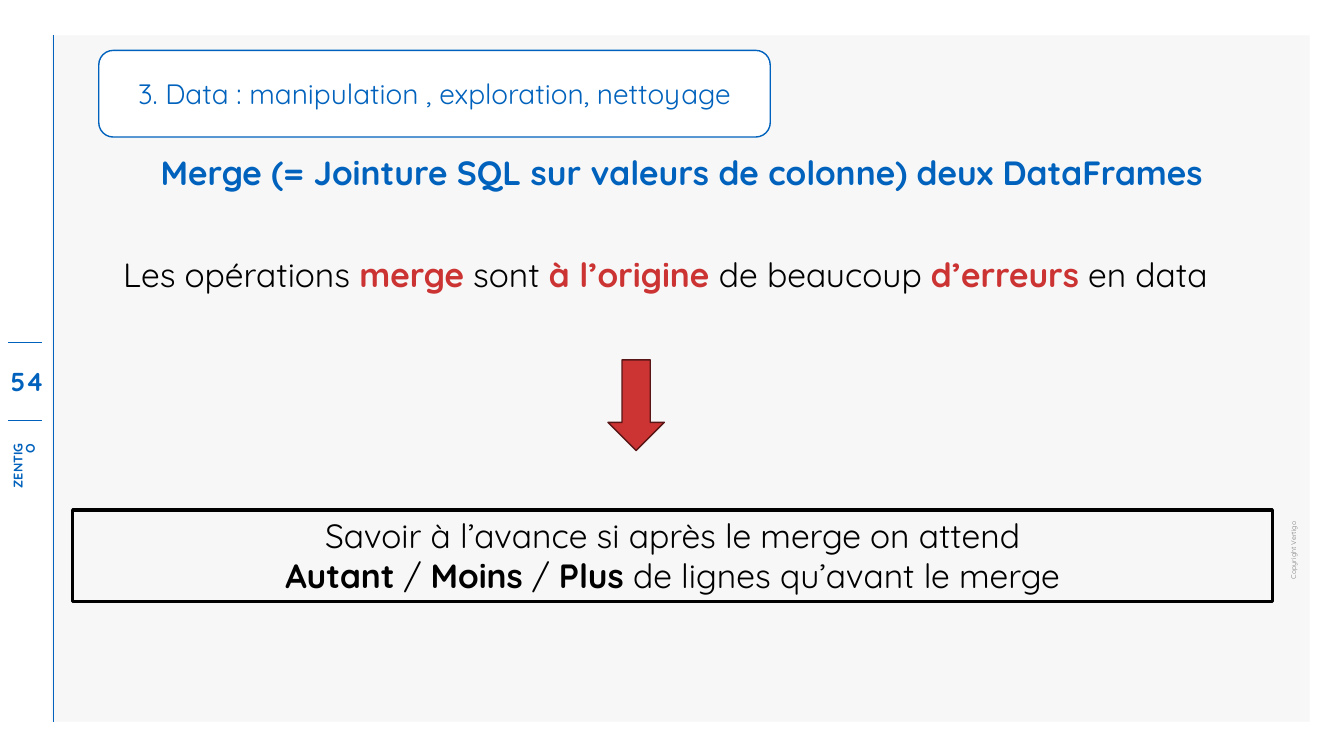
"""Build the slide on merging two DataFrames."""
import pptx
import pptx.util
import pptx.dml.color
import pptx.enum.shapes
import pptx.enum.text
import lxml.etree
from dataclasses import dataclass

Inches, Pt = pptx.util.Inches, pptx.util.Pt
SHAPE = pptx.enum.shapes.MSO_SHAPE
ALIGN = pptx.enum.text.PP_ALIGN
ANCHOR = pptx.enum.text.MSO_ANCHOR


@dataclass(frozen=True)
class Theme:
    font: str = "Quicksand"
    blue: str = "0062BC"
    red: str = "CC3333"
    dark_red: str = "591616"
    black: str = "000000"
    white: str = "FFFFFF"
    grey: str = "7B7B7B"
    panel: str = "F7F7F7"
    message: float = 24
    chapter: float = 20
    number: float = 18.5
    brand: float = 9
    copyright: float = 5


THEME = Theme()
PLAIN = {"size": THEME.message, "color": THEME.black, "bold": False}
STRONG = {**PLAIN, "bold": True}
ALERT = {**STRONG, "color": THEME.red}
HEADING = {**STRONG, "color": THEME.blue}
CHAPTER = {"size": THEME.chapter, "color": THEME.blue, "bold": False}
NUMBER = {"size": THEME.number, "color": THEME.blue, "bold": True}
BRAND = {**NUMBER, "size": THEME.brand}
COPYRIGHT = {"size": THEME.copyright, "color": THEME.grey, "bold": False}

TITLE = [[("Merge (= Jointure SQL sur valeurs de colonne) deux DataFrames", HEADING)]]
CHAPTER_NAME = [[("3. Data : manipulation , exploration, nettoyage", CHAPTER)]]
WARNING = [[
    ("Les opérations ", PLAIN), ("merge", ALERT), (" sont ", PLAIN),
    ("à l’origine ", ALERT), ("de beaucoup ", PLAIN),
    ("d’erreurs", ALERT), (" en data", PLAIN),
]]
ADVICE = [
    [("Savoir à l’avance si après le merge on attend", PLAIN)],
    [("Autant", STRONG), (" / ", PLAIN), ("Moins", STRONG), (" / ", PLAIN),
     ("Plus", STRONG), (" de lignes qu’avant le merge", PLAIN)],
]

MARGIN_LABELS = [
    ([[("ZENTIGO", BRAND)]], (-0.04, 4.57, 0.58, 0.18), 270, ALIGN.RIGHT, 0.8),
    ([[("Copyright Vertigo", COPYRIGHT)]], (12.48, 5.36, 0.68, 0.15), 270, ALIGN.LEFT, 1.2),
    ([[("54", NUMBER)]], (0.03, 3.6, 0.48, 0.37), 0, ALIGN.CENTER, 1),
]
RULES = [
    ((0.08, 4.17), (0.42, 4.17)),
    ((0.08, 3.4), (0.42, 3.4)),
    ((0.53, 7.16), (0.53, 0.35)),
]


def rgb(color):
    return pptx.dml.color.RGBColor.from_string(color)


def apply(target, values):
    for name, value in values.items():
        setattr(target, name, value)


def write(frame, paragraphs, align=ALIGN.CENTER, spacing=1, **layout):
    apply(frame, {"word_wrap": True, "vertical_anchor": ANCHOR.TOP, **layout})
    for index, pieces in enumerate(paragraphs):
        paragraph = frame.add_paragraph() if index else frame.paragraphs[0]
        apply(paragraph, {"alignment": align, "line_spacing": spacing})
        for text, style in pieces:
            run = paragraph.add_run()
            run.text = text
            apply(run.font, {"name": THEME.font, "size": Pt(style["size"]),
                             "bold": style["bold"]})
            run.font.color.rgb = rgb(style["color"])


def add_block(slide, kind, place, fill=None, line=None, weight=1):
    block = slide.shapes.add_shape(kind, *map(Inches, place))
    block.shadow.inherit = False
    if fill:
        block.fill.solid()
        block.fill.fore_color.rgb = rgb(fill)
    else:
        block.fill.background()
    if line:
        block.line.color.rgb = rgb(line)
        block.line.width = Pt(weight)
    else:
        block.line.fill.background()
    return block


def add_rule(slide, start, end):
    rule = slide.shapes.add_connector(
        pptx.enum.shapes.MSO_CONNECTOR.STRAIGHT, *map(Inches, start + end))
    rule.line.color.rgb = rgb(THEME.blue)
    rule.line.width = Pt(1)
    properties = rule._element.spPr
    lxml.etree.SubElement(properties, pptx.oxml.ns.qn("a:effectLst"))


def add_label(slide, paragraphs, place, rotation, align, spacing):
    label = slide.shapes.add_textbox(*map(Inches, place))
    label.rotation = rotation
    inset = Inches(0.03)
    write(label.text_frame, paragraphs, align, spacing, word_wrap=False,
          vertical_anchor=ANCHOR.MIDDLE, margin_left=inset, margin_right=inset,
          margin_top=inset, margin_bottom=inset)


def main():
    deck = pptx.Presentation()
    apply(deck, {"slide_width": Inches(13.33), "slide_height": Inches(7.5)})
    slide = deck.slides.add_slide(deck.slide_layouts[5])

    add_block(slide, SHAPE.RECTANGLE, (0.51, 0.35, 12.48, 6.81), THEME.panel)
    for start, end in RULES:
        add_rule(slide, start, end)
    for label in MARGIN_LABELS:
        add_label(slide, *label)

    chapter = add_block(slide, SHAPE.ROUNDED_RECTANGLE, (0.98, 0.5, 6.66, 0.86),
                        THEME.white, THEME.blue)
    write(chapter.text_frame, CHAPTER_NAME, vertical_anchor=ANCHOR.MIDDLE)

    title = slide.shapes.title
    apply(title, {"left": Inches(0.54), "top": Inches(1.46),
                  "width": Inches(12.44), "height": Inches(0.5)})
    write(title.text_frame, TITLE, auto_size=pptx.enum.text.MSO_AUTO_SIZE.NONE)
    slide.shapes._spTree.append(title._element)

    warning = slide.shapes.add_textbox(*map(Inches, (0.65, 2.47, 11.9, 0.5)))
    write(warning.text_frame, WARNING)
    add_block(slide, SHAPE.DOWN_ARROW, (6.03, 3.57, 0.56, 0.9),
              THEME.red, THEME.dark_red)
    advice = add_block(slide, SHAPE.RECTANGLE, (0.72, 5.06, 11.9, 0.91),
                       line=THEME.black, weight=2.25)
    write(advice.text_frame, ADVICE)

    deck.save("out.pptx")


if __name__ == "__main__":
    main()
